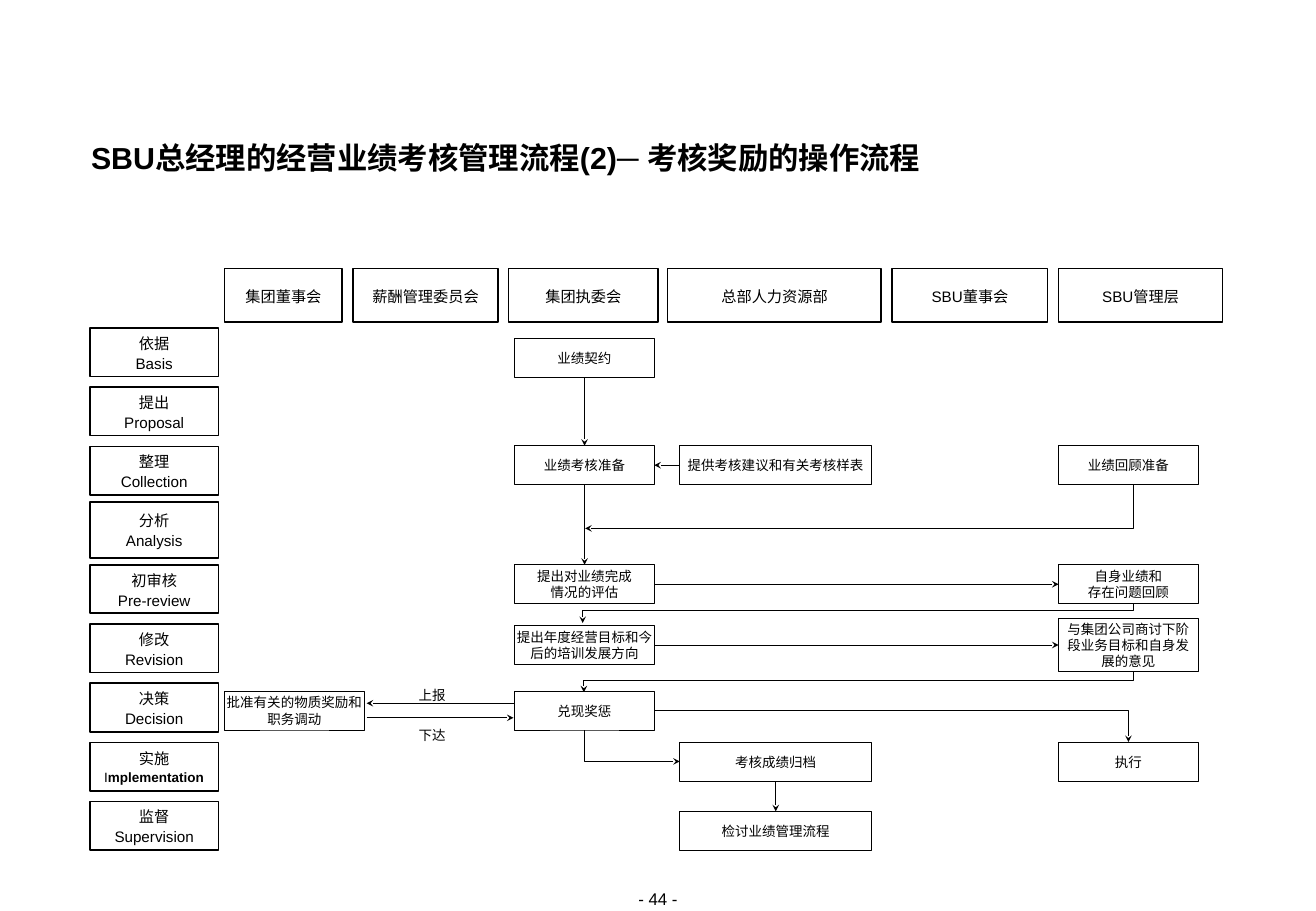
"""Build the appraisal and reward process slide."""
from lxml.etree import SubElement
from pptx import Presentation
from pptx.dml.color import RGBColor as RGB
from pptx.enum.shapes import MSO_CONNECTOR as LINK, MSO_SHAPE as SHAPE
from pptx.enum.text import MSO_ANCHOR as ANCHOR, PP_ALIGN as ALIGN
from pptx.oxml.ns import qn
from pptx.util import Inches, Pt

COLORS = {"ink": "000000", "paper": "FFFFFF"}
INK = RGB.from_string(COLORS["ink"])
PAPER = RGB.from_string(COLORS["paper"])


def write(text, left, top, width, height, size=8, bold=False, border=None,
          fill=False, align=ALIGN.CENTER, anchor=ANCHOR.MIDDLE, space=None):
    """Add text, in a bordered box if asked; ** starts a bold run."""
    area = Inches(left), Inches(top), Inches(width), Inches(height)
    if border:
        shape = shapes.add_shape(SHAPE.RECTANGLE, *area)
        shape.shadow.inherit = False
        shape.line.color.rgb = INK
        shape.line.width = Pt(border)
        if fill:
            shape.fill.solid()
            shape.fill.fore_color.rgb = PAPER
        else:
            shape.fill.background()
    else:
        shape = shapes.add_textbox(*area)
    frame = shape.text_frame
    frame.margin_left = frame.margin_right = frame.margin_top = frame.margin_bottom = 0
    frame.word_wrap = True
    frame.vertical_anchor = anchor
    for row, line in enumerate(text.split("\n")):
        para = frame.add_paragraph() if row else frame.paragraphs[0]
        para.alignment = align
        if space:
            para.line_spacing = space
        for part, words in enumerate(line.split("**")):
            run = para.add_run()
            run.text = words
            run.font.name = "Arial"
            run.font.size = Pt(size)
            run.font.bold = bold or part == 1
            run.font.color.rgb = INK
    return shape


def point(shape, end="tailEnd"):
    """Give a line its stroke and small arrowhead, without a shadow."""
    shape.line.color.rgb = INK
    shape.line.width = Pt(0.5)
    props = shape.element.spPr
    SubElement(props.find(qn("a:ln")), qn(f"a:{end}"), type="stealth", w="sm", len="sm")
    SubElement(props, qn("a:effectLst"))


deck = Presentation()
deck.slide_width, deck.slide_height = Inches(10.84), Inches(7.5)
slide = deck.slides.add_slide(deck.slide_layouts[6])
shapes = slide.shapes

write("SBU总经理的经营业绩考核管理流程(2)─ 考核奖励的操作流程", 0.75, 1.17, 9.33, 0.28,
      size=18, bold=True, align=ALIGN.LEFT, anchor=ANCHOR.TOP, space=Pt(20))
write("- 44 -", 4.85, 7.32, 1.14, 0.17, size=10, anchor=ANCHOR.TOP)

units = [
    ("集团董事会", 1.85, 0.97), ("薪酬管理委员会", 2.91, 1.19), ("集团执委会", 4.19, 1.23),
    ("总部人力资源部", 5.5, 1.76), ("SBU董事会", 7.35, 1.28), ("SBU管理层", 8.72, 1.35),
]
for name, left, width in units:
    write(name, left, 2.21, width, 0.44, size=9, border=1, space=1.1)

stages = [
    "依据\nBasis", "提出\nProposal", "整理\nCollection", "分析\nAnalysis", "初审核\nPre-review",
    "修改\nRevision", "决策\nDecision", "实施\nI**mplementation", "监督\nSupervision",
]
for row, name in enumerate(stages):
    extra = 0.03 if "Analysis" in name else 0
    stage = write(name, 0.74, 2.7 + 3.9 * row / 8 - extra, 1.06, 0.4 + 2 * extra,
                  size=9, border=1, space=1.1)
    if "**" in name:
        for run in stage.text_frame.paragraphs[1].runs:
            run.font.size = Pt(8)

routes = [
    [(9.34, 3.99), (9.34, 4.35), (4.82, 4.35)],
    [(9.34, 4.96), (9.34, 5.03), (4.8, 5.03), (4.8, 5.13)],
    [(9.34, 5.53), (9.34, 5.6), (4.81, 5.6), (4.81, 5.7)],
]
for route in routes:
    start, *rest = [(Inches(x), Inches(y)) for x, y in route]
    pen = shapes.build_freeform(*start)
    pen.add_line_segments(rest, close=False)
    bend = pen.convert_to_shape()
    bend.fill.background()
    point(bend)

columns = {"board": (1.85, 1.15), "exec": (4.24, 1.15), "staff": (5.6, 1.58), "sbu": (8.72, 1.15)}
tasks = [
    ("pact", "exec", 2.79, "业绩契约"),
    ("prep", "exec", 3.67, "业绩考核准备"),
    ("rate", "exec", 4.65, "提出对业绩完成\n情况的评估"),
    ("goal", "exec", 5.15, "提出年度经营目标和今后的培训发展方向"),
    ("reward", "exec", 5.69, "兑现奖惩"),
    ("approve", "board", 5.69, "批准有关的物质奖励和职务调动"),
    ("recall", "sbu", 3.67, "业绩回顾准备"),
    ("review", "sbu", 4.65, "自身业绩和\n存在问题回顾"),
    ("discuss", "sbu", 5.09, "与集团公司商讨下阶\n段业务目标和自身发\n展的意见"),
    ("act", "sbu", 6.11, "执行"),
    ("advise", "staff", 3.67, "提供考核建议和有关考核样表"),
    ("file", "staff", 6.11, "考核成绩归档"),
    ("check", "staff", 6.68, "检讨业绩管理流程"),
]
boxes = {}
for key, column, top, text in tasks:
    left, width = columns[column]
    height = 0.44 if key == "discuss" else 0.32
    boxes[key] = write(text, left, top, width, height, border=0.5, fill=True)

TOP, LEFT, BOTTOM, RIGHT = range(4)
links = [
    ("pact", BOTTOM, "prep", TOP, "line"),
    ("prep", BOTTOM, "rate", TOP, "line"),
    ("rate", RIGHT, "review", LEFT, "line"),
    ("goal", RIGHT, "discuss", LEFT, "line"),
    ("advise", LEFT, "prep", RIGHT, "line"),
    ("file", BOTTOM, "check", TOP, "line"),
    ("reward", RIGHT, "act", TOP, "tailEnd"),
    ("file", LEFT, "reward", BOTTOM, "headEnd"),
]
for first, side, last, edge, kind in links:
    straight = kind == "line"
    link = shapes.add_connector(LINK.STRAIGHT if straight else LINK.ELBOW, 0, 0, 0, 0)
    link.begin_connect(boxes[first], side)
    link.end_connect(boxes[last], edge)
    if not straight:
        link.element.spPr.find(qn("a:prstGeom")).set("prst", "bentConnector2")
    point(link, "tailEnd" if straight else kind)

for text, top, start, end, y in [("上报", 5.6, 4.23, 3.02, 5.79), ("下达", 5.93, 3.02, 4.23, 5.91)]:
    point(shapes.add_connector(LINK.STRAIGHT, Inches(start), Inches(y), Inches(end), Inches(y)))
    write(text, 3.26, top, 0.6, 0.19, space=Pt(14))

deck.save("out.pptx")
